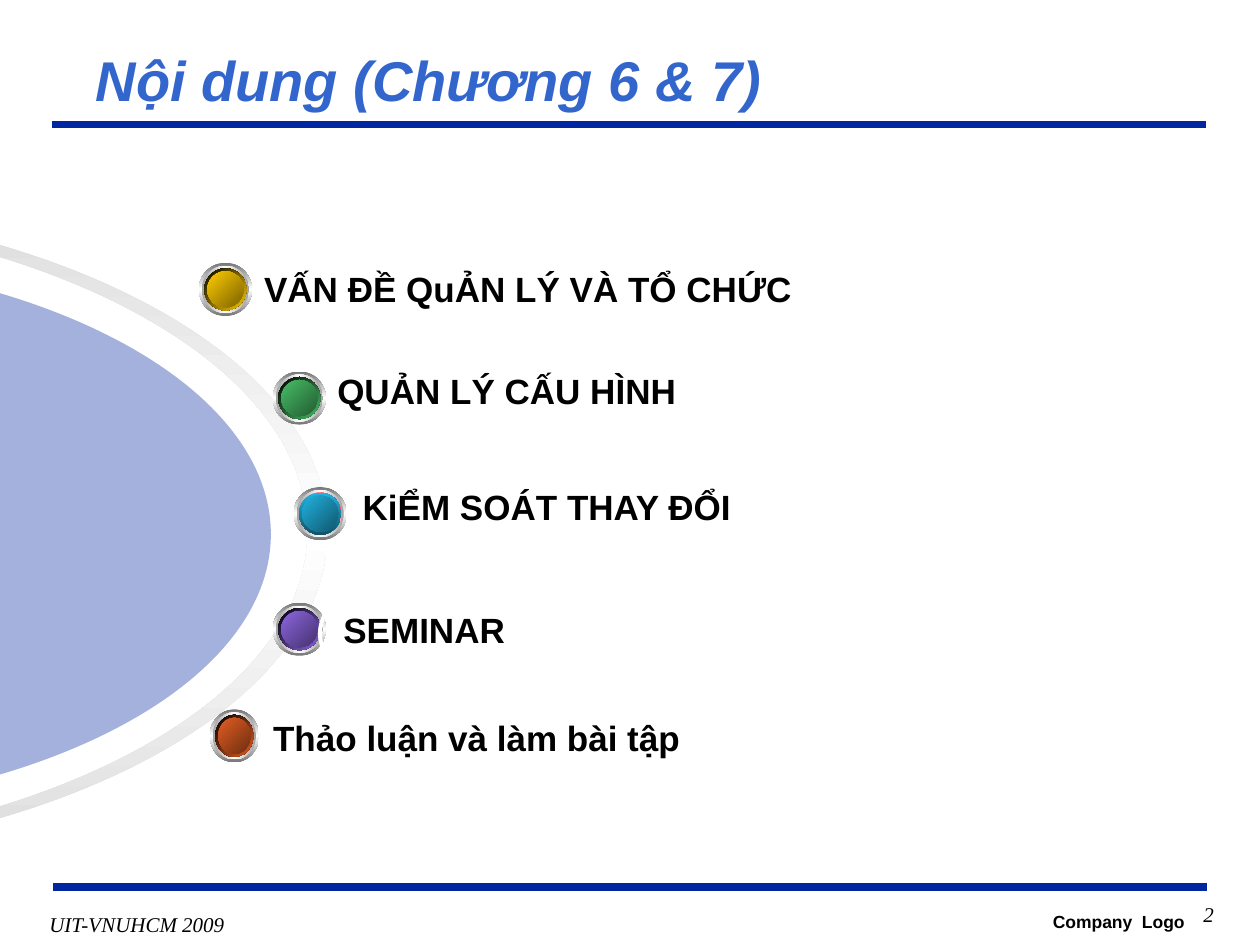
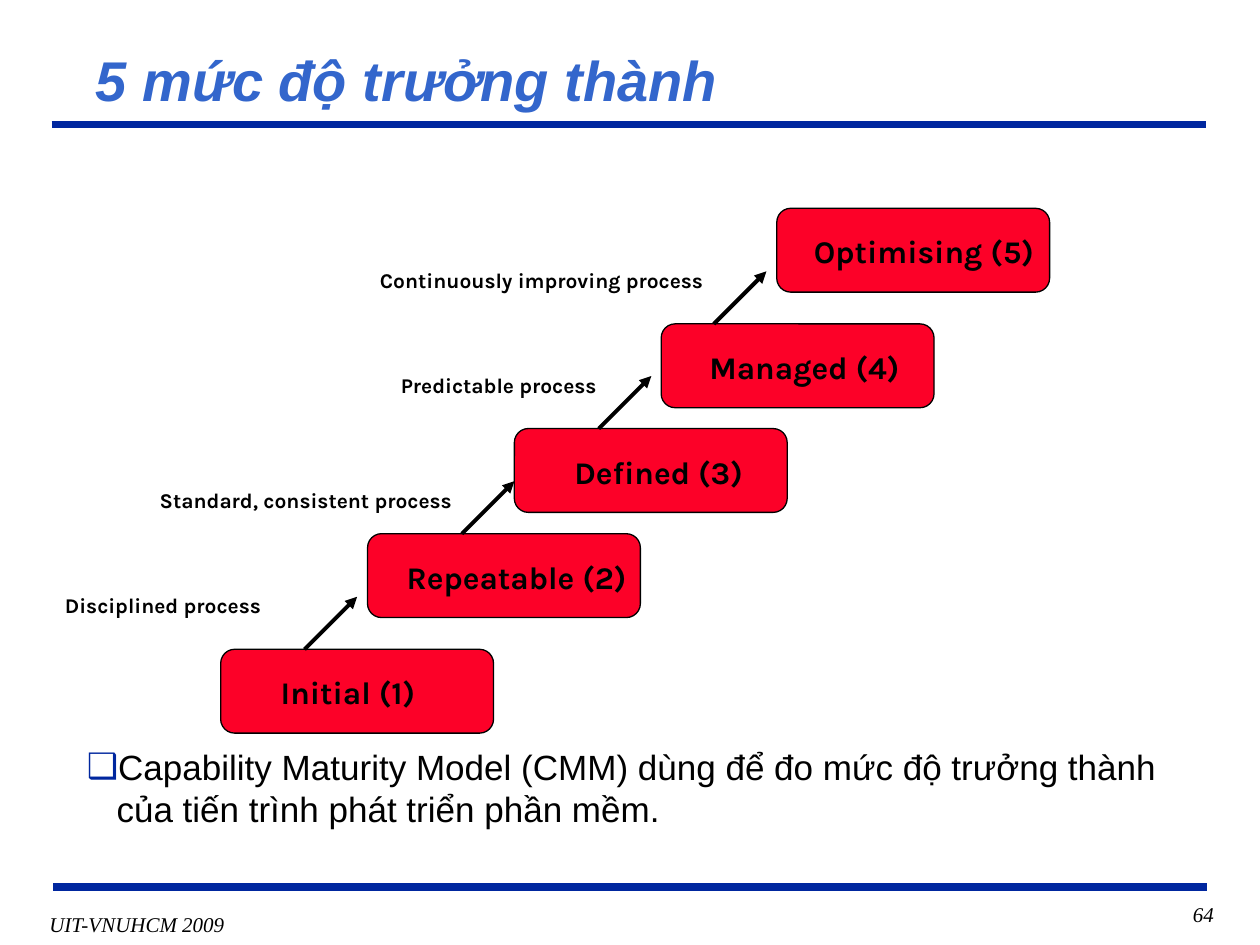
from lxml.etree import SubElement
from pptx import Presentation
from pptx.dml.color import RGBColor
from pptx.enum.shapes import MSO_CONNECTOR, MSO_SHAPE as Shape
from pptx.enum.text import MSO_ANCHOR as Anchor, PP_ALIGN as Align
from pptx.oxml.ns import qn
from pptx.util import Cm, Pt

NAVY = RGBColor(0x00, 0x27, 0x9F)
TITLE_BLUE = RGBColor(0x33, 0x66, 0xCC)
RED = RGBColor(0xFC, 0x01, 0x28)
BLACK = RGBColor(0, 0, 0)
WHITE = RGBColor(255, 255, 255)
ARC_GREY = RGBColor(0xDC, 0xDC, 0xDC)
RIM_GREY = RGBColor(0x76, 0x76, 0x76)
BEVEL_GREY = RGBColor(0xA2, 0xA2, 0xA2)
GOLD, DARK_GOLD = RGBColor(0xFF, 0xCC, 0x00), RGBColor(0x7C, 0x63, 0x00)
GREEN, DARK_GREEN = RGBColor(0x48, 0xBE, 0x67), RGBColor(0x23, 0x5C, 0x32)
CYAN, DARK_CYAN = RGBColor(0x21, 0xB3, 0xE1), RGBColor(0x10, 0x57, 0x6D)
CYAN_RIM = RGBColor(0x0F, 0x53, 0x68)
VIOLET, DARK_VIOLET = RGBColor(0x8D, 0x67, 0xE1), RGBColor(0x45, 0x32, 0x6D)
ORANGE, DARK_ORANGE = RGBColor(0xE3, 0x5E, 0x23), RGBColor(0x6E, 0x2E, 0x11)

SANS, SERIF, LABEL = "Arial", "Times New Roman", "Karla"

# All positions and sizes are in centimetres: left, top, width, height.
RULES = [((1.04, 2.51), (24.31, 2.51)), ((1.07, 17.88), (24.33, 17.88))]
TITLE_AREA = (1.68, 0.84, 22.53, 1.5)
FOOTER_AREA = (0.74, 18.25, 4.04, 0.74)
NUMBER_AREA = (21.54, 18.05, 3.18, 0.84)
LOGO_AREA = (19.89, 18.24, 4.24, 0.81)

# A start point, then segments: one point for a line, three for a curve
RING_START = (-6.65, 4.22)
RING = [
    [(0.48, 4.27), (6.2, 7.16), (6.2, 10.72)],
    [(6.2, 14.27), (0.48, 17.17), (-6.65, 17.22)],
    [(-6.65, 17.42)],
    [(0.71, 17.37), (6.6, 14.38), (6.6, 10.72)],
    [(6.6, 7.06), (0.71, 4.06), (-6.65, 4.01)],
]
DOME_START = (-5.46, 5.16)
DOME = [
    [(0.56, 5.16), (5.46, 7.67), (5.46, 10.77)],
    [(5.46, 13.87), (0.56, 16.36), (-5.46, 16.36)],
]

# Text, pill area, line spacing
TOPICS = [
    ("Thảo luận và làm bài tập", (5.05, 14.16, 12.27, 1.42), 1.0),
    (None, (6.43, 11.86, 12.27, 1.42), 1.0),
    ("KiỂM SOÁT THAY ĐỔI", (6.84, 9.54, 14.91, 1.52), 0.8),
    ("QUẢN LÝ CẤU HÌNH", (6.35, 7.26, 17.42, 1.37), 0.8),
    ("VẤN ĐỀ QuẢN LÝ VÀ TỔ CHỨC", (4.9, 5.27, 13.06, 1.19), 0.9),
]
FRONT_TOPIC = ("SEMINAR", (6.45, 12.01, 14.91, 1.52), 0.8)

# Knob area, light colour, dark colour, colours and angle of the inner rim
KNOBS = [
    ((4.01, 5.3, 1.07, 1.07), GOLD, DARK_GOLD, [BLACK, GOLD], 45),
    ((5.5, 7.49, 1.07, 1.07), GREEN, DARK_GREEN, [BLACK, GREEN], 45),
    ((5.92, 9.82, 1.07, 1.07), CYAN, DARK_CYAN, [CYAN, CYAN_RIM], 90),
    ((5.5, 12.15, 1.07, 1.07), VIOLET, DARK_VIOLET, [BLACK, VIOLET], 45),
    ((4.23, 14.3, 0.99, 1.07), ORANGE, DARK_ORANGE, [BLACK, ORANGE], 45),
]

# Name, box left, box top, label left, label width
LEVELS = [
    ("Initial (1)", 4.45, 13.09, 5.41, 3.35),
    ("Repeatable (2)", 7.41, 10.76, 7.95, 5.05),
    ("Defined (3)", 10.37, 8.64, 11.33, 3.94),
    ("Managed (4)", 13.33, 6.53, 14.05, 4.42),
    ("Optimising (5)", 15.66, 4.2, 16.16, 4.98),
]
LEVEL_SIZE = (5.5, 1.69)

# Text, area, left end of the arrow that rises from the level of the same rank
TRANSITIONS = [
    ("Disciplined process", (1.06, 11.82, 5.92, 0.76), 6.14),
    ("Standard, consistent process", (2.97, 9.7, 7.19, 0.76), 9.31),
    ("Predictable process", (7.83, 7.38, 5.51, 0.76), 12.07),
    ("Continuously improving process", (7.41, 5.26, 7.42, 0.76), 14.39),
]
ARROW_RISE = 1.06

CMM_NOTE = ("Capability Maturity Model (CMM) dùng để đo mức độ trưởng thành "
            "của tiến trình phát triển phần mềm.")
CMM_AREA = (1.5, 14.91, 22.12, 1.96)


def lengths(values):
    return [Cm(value) for value in values]


def write(box, text, size=12, font=SANS, color=BLACK, bold=False, italic=False,
          align=Align.LEFT, anchor=Anchor.TOP, wrap=True, spacing=None, bullet=None):
    frame = box.text_frame
    frame.word_wrap = wrap
    frame.vertical_anchor = anchor
    para = frame.paragraphs[0]
    para.alignment = align
    if spacing:
        para.line_spacing = spacing
    if bullet:
        props = para._p.get_or_add_pPr()
        props.set("marL", str(Cm(0.6)))
        props.set("indent", str(-Cm(0.6)))
        color_node = SubElement(props, qn("a:buClr"))
        SubElement(color_node, qn("a:srgbClr"), val=str(NAVY))
        SubElement(props, qn("a:buFont"), typeface=font)
        SubElement(props, qn("a:buChar"), char=bullet)
    span = para.add_run()
    span.text = text
    span.font.name = font
    span.font.size = Pt(size)
    span.font.bold = bold
    span.font.italic = italic
    span.font.color.rgb = color


def add_text(page, area, text, **style):
    write(page.shapes.add_textbox(*lengths(area)), text, **style)


def add_plain_shape(page, kind, area, fill=None, line=None, width=1):
    shape = page.shapes.add_shape(kind, *lengths(area))
    shape.shadow.inherit = False
    if fill is None:
        shape.fill.background()
    else:
        shape.fill.solid()
        shape.fill.fore_color.rgb = fill
    if line is None:
        shape.line.fill.background()
    else:
        shape.line.color.rgb = line
        shape.line.width = Pt(width)
    return shape


def set_gradient(shape, colors, angle):
    """Spread the colours evenly, at an angle counted clockwise."""
    shape.fill.gradient()
    shape.fill.gradient_angle = (360 - angle) % 360
    stops = shape._element.spPr.find(qn("a:gradFill")).find(qn("a:gsLst"))
    for stop in list(stops):
        stops.remove(stop)
    for rank, color in enumerate(colors):
        position = 100000 * rank // (len(colors) - 1)
        stop = SubElement(stops, qn("a:gs"), pos=str(position))
        SubElement(stop, qn("a:srgbClr"), val=str(color))


def add_line(page, start, end, color, width, arrow=False):
    line = page.shapes.add_connector(MSO_CONNECTOR.STRAIGHT, *lengths(start + end))
    line.line.color.rgb = color
    line.line.width = Pt(width)
    if arrow:
        SubElement(line.line._get_or_add_ln(), qn("a:tailEnd"), type="triangle")
    SubElement(line._element.spPr, qn("a:effectLst"))


def add_outline(page, start, segments):
    """Build straight segments, then join each group of three into a curve."""
    builder = page.shapes.build_freeform(*lengths(start))
    builder.add_line_segments([lengths(point) for segment in segments for point in segment])
    shape = builder.convert_to_shape()
    shape.shadow.inherit = False
    shape.line.fill.background()
    nodes = iter(list(shape._element.spPr.iter(qn("a:lnTo"))))
    for segment in segments:
        first, *others = [next(nodes) for _ in segment]
        if others:
            first.tag = qn("a:cubicBezTo")
        for node in others:
            first.append(node[0])
            node.getparent().remove(node)
    return shape


def add_page(deck, title, number):
    page = deck.slides.add_slide(deck.slide_layouts[6])
    for start, end in RULES:
        add_line(page, start, end, NAVY, 4.5)
    add_text(page, FOOTER_AREA, "UIT-VNUHCM 2009", font=SERIF, italic=True,
             align=Align.CENTER, wrap=False)
    add_text(page, TITLE_AREA, title, size=32, color=TITLE_BLUE, bold=True,
             italic=True, anchor=Anchor.MIDDLE)
    add_text(page, NUMBER_AREA, str(number), font=SERIF, italic=True, align=Align.RIGHT)
    return page


def add_topic(page, text, area, spacing):
    pill = add_plain_shape(page, Shape.ROUNDED_RECTANGLE, area, line=WHITE, width=2.25)
    pill.adjustments[0] = 0.5
    if text:
        write(pill, text, size=20, bold=True, anchor=Anchor.MIDDLE, wrap=False,
              spacing=spacing)


def add_knob(page, area, light, dark, rim_colors, rim_angle):
    left, top, width, height = area
    layers = [
        (0, [RIM_GREY, WHITE, RIM_GREY], 90),
        (0.06, [BEVEL_GREY, WHITE, BEVEL_GREY], 0),
        (0.11, [WHITE, RED, WHITE], 45),
        (0.11, rim_colors, rim_angle),
        (0.17, [light, dark], 45),
    ]
    for inset, colors, angle in layers:
        disc = add_plain_shape(page, Shape.OVAL, (left + inset, top + inset,
                                                  width - 2 * inset, height - 2 * inset))
        set_gradient(disc, colors, angle)


def add_contents_page(deck):
    page = add_page(deck, "Nội dung (Chương 6 & 7)", 2)
    add_text(page, LOGO_AREA, "Company  Logo", size=10, bold=True, align=Align.RIGHT)

    ring = add_outline(page, RING_START, RING)
    set_gradient(ring, [ARC_GREY, WHITE, ARC_GREY], 90)

    dome = add_outline(page, DOME_START, DOME)
    dome.fill.solid()
    dome.fill.fore_color.rgb = NAVY
    dome_color = dome._element.spPr.find(qn("a:solidFill")).find(qn("a:srgbClr"))
    SubElement(dome_color, qn("a:alpha"), val="36000")

    for topic in TOPICS:
        add_topic(page, *topic)
    for knob in KNOBS:
        add_knob(page, *knob)
    add_topic(page, *FRONT_TOPIC)


def add_maturity_page(deck):
    page = add_page(deck, "5 mức độ trưởng thành", 64)
    for name, left, top, label_left, label_width in LEVELS:
        add_plain_shape(page, Shape.FLOWCHART_ALTERNATE_PROCESS,
                        (left, top) + LEVEL_SIZE, fill=RED, line=BLACK, width=0.75)
        add_text(page, (label_left, top + 0.36, label_width, 1.02), name, size=18,
                 font=LABEL, bold=True, wrap=False)
    for (text, area, arrow_left), level in zip(TRANSITIONS, LEVELS):
        level_top = level[2]
        add_line(page, (arrow_left, level_top),
                 (arrow_left + ARROW_RISE, level_top - ARROW_RISE), BLACK, 2.25, arrow=True)
        add_text(page, area, text, font=LABEL, bold=True)
    add_text(page, CMM_AREA, CMM_NOTE, size=20, bullet="❑")


def main():
    deck = Presentation()
    deck.slide_width, deck.slide_height = Cm(25.4), Cm(19.05)
    add_contents_page(deck)
    add_maturity_page(deck)
    deck.save("out.pptx")


if __name__ == "__main__":
    main()
